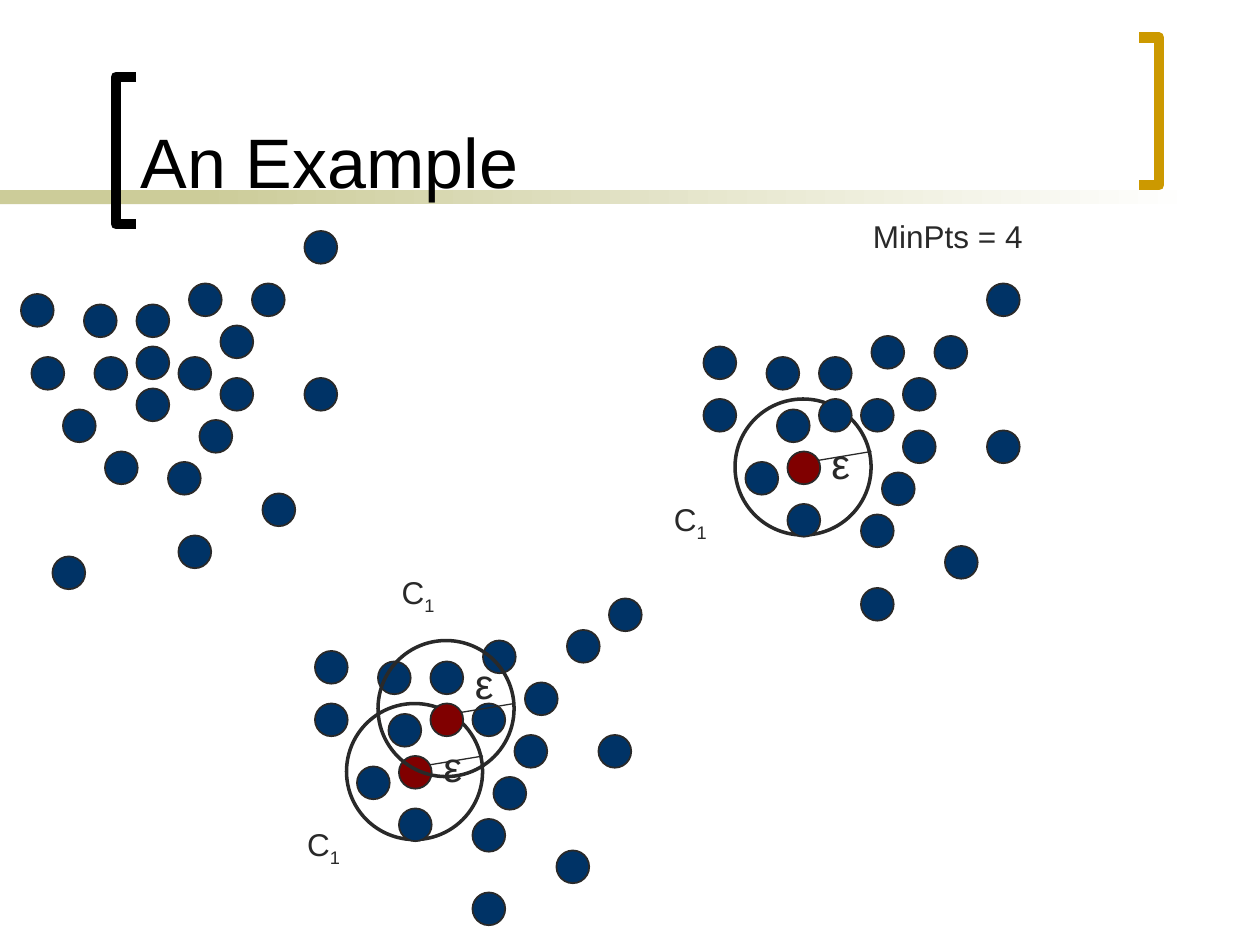
"""Build the density clustering example slide."""
from pptx import Presentation, util as u
from pptx.dml.color import RGBColor
from pptx.enum import shapes, text
from pptx.oxml.ns import qn

INK = "292929"
NAVY = "003366"
RED = "800000"
OLIVE = "CCCC99"
UNIT = u.Inches(1) / 12


def paint(shape, fill=None, line=None, width=1):
    props = shape._element.spPr
    if fill:
        shape.fill.solid()
        shape.fill.fore_color.rgb = RGBColor.from_string(fill)
    elif hasattr(shape, "fill"):
        shape.fill.background()
    if line:
        shape.line.color.rgb = RGBColor.from_string(line)
        shape.line.width = u.Pt(width)
    else:
        shape.line.fill.background()
    if props.find(qn("a:effectLst")) is None:
        props.append(props.makeelement(qn("a:effectLst"), {}))


def write(words, x, y, w, h, size=18, color=INK, sub="", wrap=True,
          anchor=text.MSO_ANCHOR.TOP):
    box = slide.shapes.add_textbox(u.Inches(x), u.Inches(y), u.Inches(w), u.Inches(h))
    frame = box.text_frame
    frame.word_wrap = wrap
    frame.vertical_anchor = anchor
    for part, base in ((words, None), (sub, "-25000")):
        if part:
            run = frame.paragraphs[0].add_run()
            run.text = part
            run.font.name = "Arial"
            run.font.size = u.Pt(size)
            run.font.color.rgb = RGBColor.from_string(color)
            if base:
                run.font._element.set("baseline", base)


deck = Presentation()
deck.slide_width, deck.slide_height = u.Inches(10), u.Inches(7.5)
slide = deck.slides.add_slide(deck.slide_layouts[6])

for left, wide in ((0, 2.33), (1.58, 7.92)):
    bar = slide.shapes.add_shape(shapes.MSO_SHAPE.RECTANGLE, u.Inches(left),
                                 u.Inches(1.51), u.Inches(wide), u.Inches(0.11))
    paint(bar, OLIVE)
bar.fill.gradient()
bar.fill.gradient_angle = 0
for stop, tone in zip(bar.fill.gradient_stops, (OLIVE, "FFFFFF")):
    stop.color.rgb = RGBColor.from_string(tone)

for tip, back, top, tone in ((1.08, 0.92, 0.61, "000000"), (9.04, 9.2, 0.3, "CC9900")):
    low = top + 1.17
    pen = slide.shapes.build_freeform(u.Inches(tip), u.Inches(top))
    pen.add_line_segments([(u.Inches(x), u.Inches(y)) for x, y in
                           ((back, top), (back, low), (tip, low))], close=False)
    paint(pen.convert_to_shape(), line=tone, width=6)

write("An Example", 1.02, 0.11, 7.83, 1.55, size=40, color="000000",
      anchor=text.MSO_ANCHOR.BOTTOM)
write("MinPts = 4", 6.83, 1.67, 1.75, 0.4)

looks = {"dot": (0.26, NAVY, 1), "core": (0.26, RED, 1), "ring": (1.08, None, 2)}
layers = [
    ("dot", [(8, 29), (9, 34), (13, 33), (6, 39), (17, 34), (13, 29), (10, 43),
             (21, 31), (18, 27), (21, 36), (19, 40), (13, 37), (3, 34), (16, 44),
             (24, 27), (2, 28), (5, 53), (29, 22), (29, 36), (25, 47), (17, 51)]),
    ("ring", [(70, 38)]),
    ("dot", [(73, 34), (74, 39), (78, 38), (71, 44), (82, 38), (78, 34), (75, 48),
             (86, 36), (83, 32), (86, 41), (84, 45), (67, 38), (82, 49), (89, 32),
             (67, 33), (94, 27), (94, 41), (90, 52), (82, 56)]),
    ("ray", [(77, 44)]),
    ("core", [(75, 43)]),
    ("ring", [(33, 67)]),
    ("dot", [(36, 63), (37, 68), (34, 73), (45, 67), (41, 63), (38, 77), (50, 65),
             (46, 61), (49, 70), (47, 74), (30, 67), (45, 78), (54, 60), (30, 62),
             (58, 57), (57, 70), (53, 81), (45, 85)]),
    ("ray", [(40, 73)]),
    ("core", [(38, 72)]),
    ("ring", [(36, 61)]),
    ("ray", [(43, 68)]),
    ("core", [(41, 67)]),
]
for kind, spots in layers:
    for col, row in spots:
        x, y = int(col * UNIT), int(row * UNIT)
        if kind == "ray":
            ray = slide.shapes.add_connector(shapes.MSO_CONNECTOR.STRAIGHT, x, y,
                                             int(x + 6 * UNIT), int(y - UNIT))
            paint(ray, line=INK, width=0.75)
        else:
            size, fill, width = looks[kind]
            oval = slide.shapes.add_shape(shapes.MSO_SHAPE.OVAL, x, y,
                                          u.Inches(size), u.Inches(size))
            paint(oval, fill, INK, width)

for x, y in ((6.5, 3.42), (3.42, 5.83), (3.67, 5.17)):
    write("ε", x, y, 0.26, 0.5, size=24)
for x, y, w, wrap in ((5.25, 3.92, 0.58, True), (2.34, 6.5, 0.46, False),
                      (3.09, 4.5, 0.46, False)):
    write("C", x, y, w, 0.44, sub="1", wrap=wrap)

deck.save("out.pptx")
